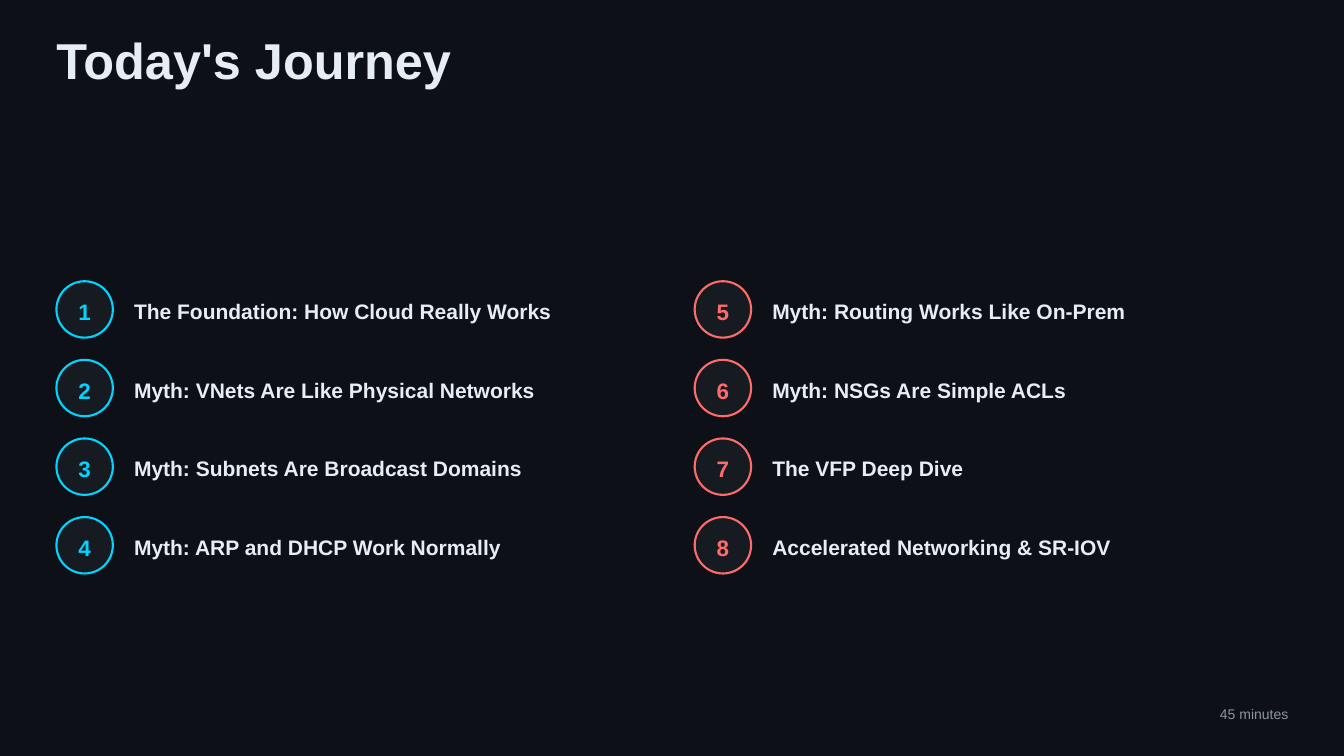
import pptx
import pptx.util
import pptx.dml.color
import pptx.enum.shapes
import pptx.enum.text
from pptx.util import Inches

HUES = {
    "back": "0D1117",
    "disc": "161B22",
    "text": "E6EDF3",
    "mute": "8B949E",
    "cyan": "00D4FF",
    "red": "FF6B6B",
}
ALIGN = pptx.enum.text.PP_ALIGN
ANCHOR = pptx.enum.text.MSO_ANCHOR


def color(name):
    return pptx.dml.color.RGBColor.from_string(HUES[name])


def write(shape, text, size, lead, hue, bold=True, align=ALIGN.LEFT, anchor=ANCHOR.TOP):
    frame = shape.text_frame
    frame.margin_left = frame.margin_right = 0
    frame.margin_top = frame.margin_bottom = 0
    frame.word_wrap = False
    frame.vertical_anchor = anchor
    para = frame.paragraphs[0]
    para.text = text
    para.alignment = align
    para.line_spacing = pptx.util.Pt(lead)
    para.font.name = "Arial"
    para.font.size = pptx.util.Pt(size)
    para.font.bold = bold
    para.font.color.rgb = color(hue)


deck = pptx.Presentation()
deck.slide_width = Inches(13.33)
deck.slide_height = Inches(7.5)
slide = deck.slides.add_slide(deck.slide_layouts[6])
slide.background.fill.solid()
slide.background.fill.fore_color.rgb = color("back")

# Title
title = slide.shapes.add_textbox(Inches(0.56), Inches(0.39), Inches(6.25), Inches(0.5))
write(title, "Today's Journey", 36, 36, "text")

# Agenda: two columns of numbered topics
topics = [
    "The Foundation: How Cloud Really Works",
    "Myth: VNets Are Like Physical Networks",
    "Myth: Subnets Are Broadcast Domains",
    "Myth: ARP and DHCP Work Normally",
    "Myth: Routing Works Like On-Prem",
    "Myth: NSGs Are Simple ACLs",
    "The VFP Deep Dive",
    "Accelerated Networking & SR-IOV",
]
rows = 4
size = 0.56
for i, topic in enumerate(topics):
    col, row = divmod(i, rows)
    hue = ("cyan", "red")[col]
    left = 0.56 + col * 6.33
    top = 2.79 + row * 0.78

    disc = slide.shapes.add_shape(
        pptx.enum.shapes.MSO_SHAPE.OVAL,
        Inches(left), Inches(top), Inches(size), Inches(size))
    disc.shadow.inherit = False
    disc.fill.solid()
    disc.fill.fore_color.rgb = color("disc")
    disc.line.color.rgb = color(hue)
    disc.line.width = pptx.util.Pt(1.5)
    write(disc, str(i + 1), 16, 22.4, hue, align=ALIGN.CENTER, anchor=ANCHOR.MIDDLE)

    label = slide.shapes.add_textbox(
        Inches(left + 0.77), Inches(top + 0.13), Inches(4.2), Inches(0.29))
    write(label, topic, 15, 21, "text")

# Duration
note = slide.shapes.add_textbox(Inches(12.1), Inches(6.97), Inches(0.69), Inches(0.19))
write(note, "45 minutes", 10, 14, "mute", bold=False)

deck.save("out.pptx")
